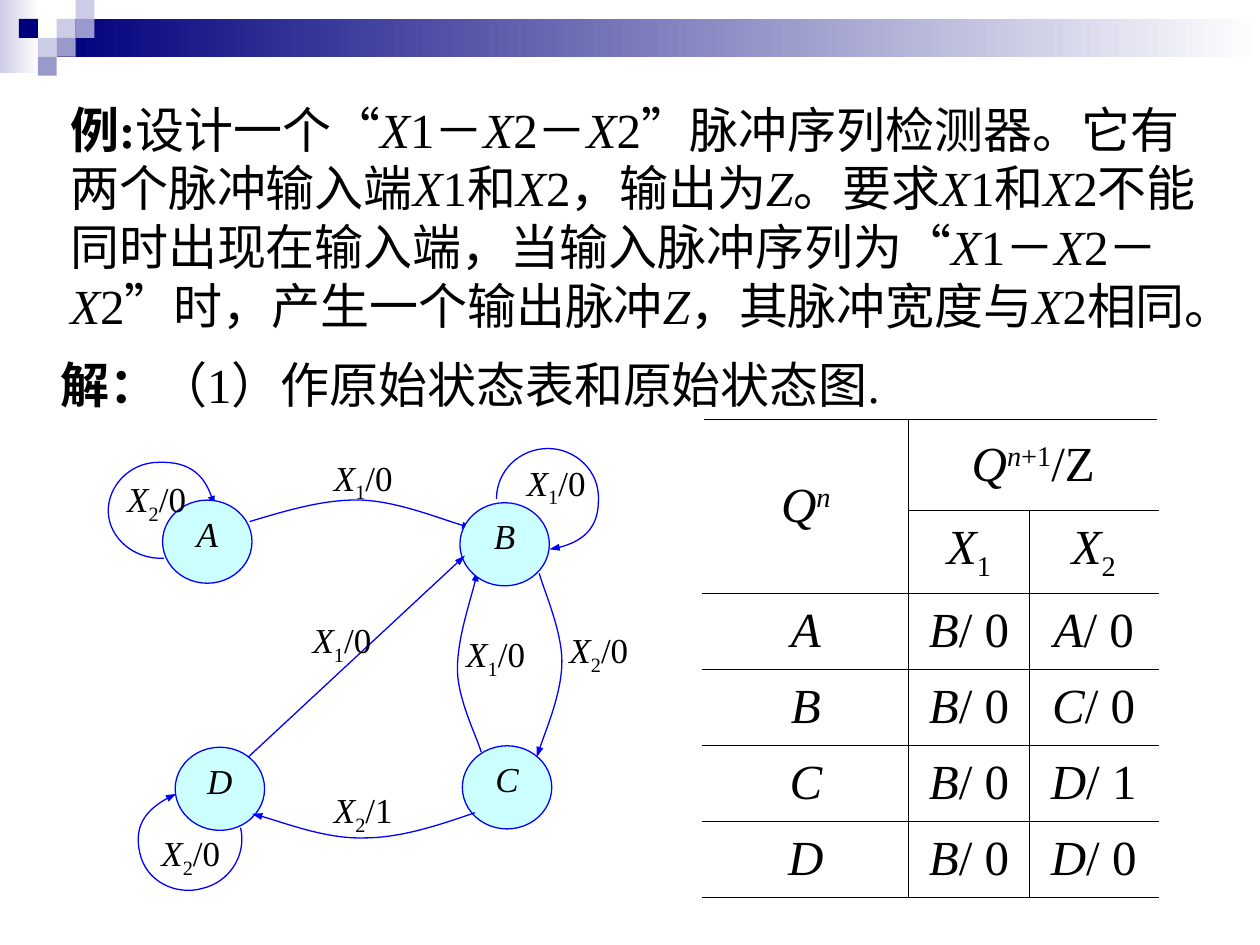
import pptx
import pptx.chart.data
import pptx.dml.color
import pptx.enum.shapes
import pptx.enum.text
import pptx.oxml
import pptx.oxml.ns
import pptx.util
from lxml import etree

Pt = pptx.util.Pt
qn = pptx.oxml.ns.qn
ALIGN = pptx.enum.text.PP_ALIGN
ANCHOR = pptx.enum.text.MSO_ANCHOR
SHAPE = pptx.enum.shapes.MSO_SHAPE

NAVY, MID, LIGHT = "00007D", "9999CC", "CCCCE6"
BLUE, AQUA, BLACK, WHITE = "0000FF", "CCFFFF", "000000", "FFFFFF"


def color(hex_text):
    return pptx.dml.color.RGBColor.from_string(hex_text)


def write(frame, text, size=28, align=ALIGN.LEFT, anchor=ANCHOR.MIDDLE,
          inset=(7.2, 3.6), wrap=True, font="Times New Roman"):
    """Fill a text frame; * italic, # bold, _ subscript and ^ superscript are toggles."""
    frame.word_wrap = wrap
    frame.vertical_anchor = anchor
    frame.margin_left = frame.margin_right = Pt(inset[0])
    frame.margin_top = frame.margin_bottom = Pt(inset[1])
    para = frame.paragraphs[0]
    para.alignment = align
    active, piece = set(), ""
    for letter in text + "\n":
        if letter not in "*#_^\n":
            piece += letter
            continue
        if piece:
            span = para.add_run()
            span.text, piece = piece, ""
            span.font.name, span.font.size = font, Pt(size)
            span.font.color.rgb = color(BLACK)
            span.font.bold, span.font.italic = "#" in active, "*" in active
            for mark, shift in (("_", "-25000"), ("^", "30000")):
                if mark in active:
                    span.font._element.set("baseline", shift)
        active ^= {letter}


class Canvas:
    line_width = 0.75
    border_width = 0.45
    node_size = (51.1, 47.5)
    label_size = (44.6, 26.6)
    label_points = 20

    def __init__(self, page):
        self.page = page

    def bar(self, left, top, width, height, *colors):
        box = self.page.shapes.add_shape(
            SHAPE.RECTANGLE, Pt(left), Pt(top), Pt(width), Pt(height))
        box.shadow.inherit = False
        box.line.fill.background()
        if len(colors) == 1:
            box.fill.solid()
            box.fill.fore_color.rgb = color(colors[0])
        else:
            box.fill.gradient()
            box.fill.gradient_angle = 180
            for stop, shade in zip(box.fill.gradient_stops, colors):
                stop.color.rgb = color(shade)

    def text(self, left, top, width, height, content, **style):
        box = self.page.shapes.add_textbox(Pt(left), Pt(top), Pt(width), Pt(height))
        write(box.text_frame, content, **style)

    def label(self, left, top, content):
        self.text(left, top, *self.label_size, content, size=self.label_points,
                  anchor=ANCHOR.TOP, inset=(0, 0), align=ALIGN.JUSTIFY)

    def node(self, left, top, name):
        width, height = self.node_size
        box = self.page.shapes.add_shape(
            SHAPE.OVAL, Pt(left), Pt(top), Pt(width), Pt(height))
        box.shadow.inherit = False
        box.fill.solid()
        box.fill.fore_color.rgb = color(AQUA)
        self.stroke(box)
        write(box.text_frame, f"*{name}*", size=self.label_points,
              align=ALIGN.CENTER, anchor=ANCHOR.TOP, inset=(0, 0))

    def stroke(self, item, arrow=False):
        item.line.color.rgb = color(BLUE)
        item.line.width = Pt(self.line_width)
        if arrow:
            etree.SubElement(item.line._get_or_add_ln(), qn("a:tailEnd"),
                             type="triangle", w="sm", len="med")

    def curve(self, points, fill=None):
        """Draw an arrow through cubic Bezier points: a start, then groups of three."""
        start, *rest = [(Pt(x), Pt(y)) for x, y in points]
        builder = self.page.shapes.build_freeform(*start)
        builder.add_line_segments(rest, close=False)
        shape = builder.convert_to_shape()
        segments = list(shape._element.iter(qn("a:lnTo")))
        for first in range(0, len(segments), 3):
            bezier = etree.Element(qn("a:cubicBezTo"))
            segments[first].addprevious(bezier)
            for segment in segments[first:first + 3]:
                bezier.append(segment[0])
                segment.getparent().remove(segment)
        shape.shadow.inherit = False
        if fill:
            shape.fill.solid()
            shape.fill.fore_color.rgb = color(fill)
        else:
            shape.fill.background()
        self.stroke(shape, arrow=True)

    def arrow(self, start, end):
        line = self.page.shapes.add_connector(
            pptx.enum.shapes.MSO_CONNECTOR.STRAIGHT, *map(Pt, start + end))
        self.stroke(line, arrow=True)
        etree.SubElement(line._element.spPr, qn("a:effectLst"))

    def border(self, cell, sides):
        properties = cell._tc.get_or_add_tcPr()
        for side in sides:
            line = etree.SubElement(properties, qn(f"a:ln{side}"),
                                    w=str(Pt(self.border_width)))
            fill = etree.SubElement(line, qn("a:solidFill"))
            etree.SubElement(fill, qn("a:srgbClr"), val=BLACK)

    def state_table(self, left, top, widths, heights, rows):
        table = self.page.shapes.add_table(
            len(rows), len(widths), Pt(left), Pt(top),
            Pt(sum(widths)), Pt(sum(heights))).table
        table.first_row = table.horz_banding = False
        for column, width in zip(table.columns, widths):
            column.width = Pt(width)
        for row, height in zip(table.rows, heights):
            row.height = Pt(height)
        table.cell(0, 0).merge(table.cell(1, 0))
        table.cell(0, 1).merge(table.cell(0, 2))
        for r, row in enumerate(rows):
            for c, content in enumerate(row):
                cell = table.cell(r, c)
                # Only inner verticals, and none inside the merged heading
                sides = "L" if c > 0 and (r, c) != (0, 2) else ""
                sides += "R" if c < 2 and (r, c) != (0, 1) else ""
                sides += "T" if (r, c) != (1, 0) else ""
                self.border(cell, sides + "B")
                cell.fill.background()
                if content:
                    write(cell.text_frame, content, align=ALIGN.CENTER)
                    cell.vertical_anchor = ANCHOR.MIDDLE


def main():
    deck = pptx.Presentation()
    deck.slide_width, deck.slide_height = Pt(720), Pt(540)
    canvas = Canvas(deck.slides.add_slide(deck.slide_layouts[6]))

    # Banner and its mosaic of squares
    canvas.bar(0, 0, 22.3, 41.8, WHITE, LIGHT)
    canvas.bar(32.4, 10.8, 687.6, 21.6, WHITE, NAVY)
    tile = 10.8
    for column, row, shade in ((3, 1, LIGHT), (4, 0, LIGHT), (4, 1, MID), (2, 2, LIGHT),
                               (1, 1, NAVY), (3, 2, MID), (2, 3, MID)):
        canvas.bar(column * tile, row * tile, tile, tile, shade)

    # Problem and first step of the solution
    canvas.text(33.1, 36, 669.6, 175.7,
                "#例:#设计一个“*X*1－*X*2－*X*2”脉冲序列检测器。"
                "它有两个脉冲输入端*X*1和*X*2，输出为*Z*。要求*X*1和*X*2"
                "不能同时出现在输入端，当输入脉冲序列为“*X*1－*X*2－*X*2”时，"
                "产生一个输出脉冲*Z*，其脉冲宽度与*X*2相同。")
    canvas.text(27.4, 198.7, 509.8, 41, "#解：#（1）作原始状态表和原始状态图.", wrap=False)

    # State diagram: self loops on A, D and B
    for loop in (
        [(93.6, 319), (76.3, 319.7), (62.6, 307.4), (61.9, 293), (61.2, 278.6),
         (73.4, 264.2), (90.7, 264.2), (108.7, 263.5), (119.5, 274.3), (122.4, 289.4)],
        [(137.5, 473), (141.1, 488.9), (131, 504), (115.9, 507.6), (100.8, 511.9),
         (83.5, 504), (79.9, 487.4), (76.3, 471.6), (85.7, 460.1), (100.8, 453.6)],
        [(283.7, 285.1), (283.7, 268.6), (297.4, 256.3), (313.2, 256.3), (328.3, 256.3),
         (342.7, 268.6), (342, 285.8), (342, 302.4), (329.8, 311.8), (313.9, 313.9)],
    ):
        canvas.curve(loop, fill=WHITE)

    # States and the transitions A-B, C-D, C-B, B-C and D-B
    canvas.node(92.9, 285.8, "A")
    canvas.node(264.2, 426.2, "C")
    canvas.node(100.1, 427, "D")
    for transition in (
        [(142.6, 298.1), (164.2, 291.6), (185.8, 285.1), (206.6, 285.8),
         (227.5, 286.6), (259.2, 299.5), (270, 301.7)],
        [(271.4, 464.4), (250.6, 471.6), (229, 478.8), (208.1, 478.8),
         (186.5, 479.5), (154.8, 467.3), (144, 465.1)],
        [(275, 429.8), (272.9, 421.9), (261.4, 399.6), (261.4, 382.3),
         (261.4, 365), (270.7, 337.7), (272.9, 326.2)],
        [(308.2, 327.6), (310.3, 336.2), (321.1, 360), (321.1, 378),
         (321.1, 395.3), (310.3, 421.2), (306.7, 432.7)],
    ):
        canvas.curve(transition)
    canvas.node(262.8, 287.3, "B")
    canvas.arrow((141.8, 432.7), (265.7, 317.5))

    # Input/output labels
    for left, top, digit, output in (
            (72.7, 272.9, 2, 0), (190.8, 450.7, 2, 1), (178.6, 353.5, 1, 0),
            (266.4, 361.4, 1, 0), (325.4, 359.3, 2, 0), (301, 263.5, 1, 0),
            (190.8, 260.6, 1, 0), (92.2, 475.2, 2, 0)):
        canvas.label(left, top, f"*X*_{digit}_/{output}")

    # State table
    following = (("A", "A", 0), ("B", "C", 0), ("C", "D", 1), ("D", "D", 0))
    canvas.state_table(
        401.8, 239.4, [117.4, 69.1, 73.4], [52.5, 47] + [43.4] * 4,
        [["*Q^n^*", "*Q^n*+1^/Z", ""], ["", "*X*_1_", "*X*_2_"]]
        + [[f"*{state}*", "*B*/ 0", f"*{target}*/ {output}"]
           for state, target, output in following])

    deck.save("out.pptx")


if __name__ == "__main__":
    main()
